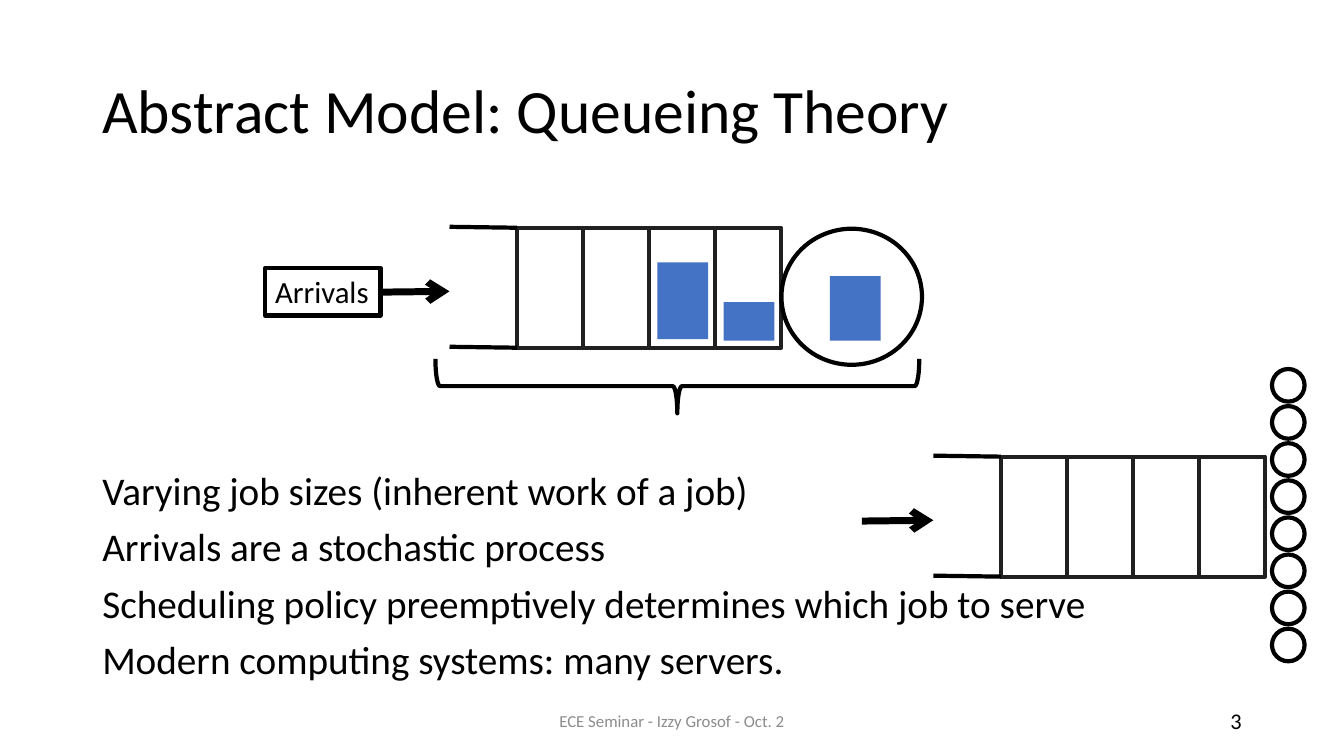
import pptx
import pptx.util
import pptx.dml.color
import pptx.enum.shapes
import pptx.enum.text
import pptx.oxml.ns
import lxml.etree

Pt = pptx.util.Pt
Shape = pptx.enum.shapes.MSO_SHAPE
Align = pptx.enum.text.PP_ALIGN
Anchor = pptx.enum.text.MSO_ANCHOR

COLORS = {
    "black": "000000",
    "white": "FFFFFF",
    "slot": "202020",
    "job": "4472C4",
    "footer": "8C8C8C",
}


class SlideBuilder:
    font = "Calibri"
    line_width = 3
    slot_pitch = 47.2
    slot_size = (47, 85.7)

    def __init__(self, slide):
        self.slide = slide

    def color(self, name):
        return pptx.dml.color.RGBColor.from_string(COLORS[name])

    def set_text(self, shape, lines, size, color="black", align=Align.LEFT,
                 anchor=Anchor.TOP, spacing=1.0, gap=0):
        frame = shape.text_frame
        frame.word_wrap = True
        frame.vertical_anchor = anchor
        frame.text = "\n".join(lines)
        for index, paragraph in enumerate(frame.paragraphs):
            paragraph.alignment = align
            paragraph.line_spacing = spacing
            paragraph.space_before = Pt(gap if index else 0)
            for run in paragraph.runs:
                run.font.name = self.font
                run.font.size = Pt(size)
                run.font.color.rgb = self.color(color)

    def text(self, box, lines, size, **style):
        shape = self.slide.shapes.add_textbox(*map(Pt, box))
        self.set_text(shape, lines, size, **style)

    def shape(self, kind, box, fill=None, line=None):
        shape = self.slide.shapes.add_shape(kind, *map(Pt, box))
        shape.shadow.inherit = False
        if fill:
            shape.fill.solid()
            shape.fill.fore_color.rgb = self.color(fill)
        else:
            shape.fill.background()
        if line:
            shape.line.color.rgb = self.color(line)
            shape.line.width = Pt(self.line_width)
        else:
            shape.line.fill.background()
        return shape

    def line(self, start, end, width=line_width, arrow=False):
        connector = self.slide.shapes.add_connector(
            pptx.enum.shapes.MSO_CONNECTOR.STRAIGHT, *map(Pt, start + end))
        connector.line.color.rgb = self.color("black")
        connector.line.width = Pt(width)
        qualified = pptx.oxml.ns.qn
        properties = connector._element.spPr
        if arrow:
            outline = properties.find(qualified("a:ln"))
            lxml.etree.SubElement(outline, qualified("a:tailEnd"), type="arrow")
        lxml.etree.SubElement(properties, qualified("a:effectLst"))

    def queue(self, left, top, slots=4):
        width, height = self.slot_size
        for index in range(slots):
            box = (left + index * self.slot_pitch, top, width, height)
            self.shape(Shape.RECTANGLE, box, "white", "slot")
        entry = left - 48.3
        for edge in (top, top + height):
            self.line((entry, edge - 0.7), (left, edge))
        self.line((entry - 51, top + 46), (entry, top + 45.4), 5, arrow=True)

    def server(self, box):
        self.shape(Shape.OVAL, box, "white", "black")

    def job(self, left, bottom, height):
        self.shape(Shape.RECTANGLE, (left, bottom - height, 36.3, height), "job")


def main():
    presentation = pptx.Presentation()
    presentation.slide_width = Pt(960)
    presentation.slide_height = Pt(540)
    slide = presentation.slides.add_slide(presentation.slide_layouts[6])
    builder = SlideBuilder(slide)

    builder.text((66, 28.75, 828, 104.4), ["Abstract Model: Queueing Theory"],
                 44, anchor=Anchor.MIDDLE, spacing=0.9)
    builder.text((318, 500.5, 324, 28.75), ["ECE Seminar - Izzy Grosof - Oct. 2"],
                 12, color="footer", align=Align.CENTER, anchor=Anchor.MIDDLE)
    builder.text((678, 500.5, 216, 28.75), ["3"],
                 16, align=Align.RIGHT, anchor=Anchor.MIDDLE)

    builder.queue(369.4, 162.7)
    builder.server((558.2, 163.4, 100.4, 97.2))
    for left, bottom, height in ((469.5, 242.2, 54.8), (516.8, 243.3, 27.4),
                                 (592.8, 243.3, 46)):
        builder.job(left, bottom, height)

    arrivals = builder.shape(Shape.RECTANGLE, (189.4, 191.5, 82.4, 33.9),
                             line="black")
    builder.set_text(arrivals, ["Arrivals"], 22)
    arrivals.text_frame.word_wrap = False

    brace = builder.shape(Shape.LEFT_BRACE, (464.4, 103, 38.9, 345.6), line="black")
    brace.rotation = 270

    builder.text((66, 333.4, 828, 185.8), [
        "Varying job sizes (inherent work of a job)",
        "Arrivals are a stochastic process",
        "Scheduling policy preemptively determines which job to serve",
        "Modern computing systems: many servers.",
    ], 28, spacing=0.9, gap=10)

    for index in range(8):
        builder.server((908.6, 263.6 + index * 26.5, 23.3, 23.3))
    builder.queue(715, 326.2)

    presentation.save("out.pptx")


if __name__ == "__main__":
    main()
